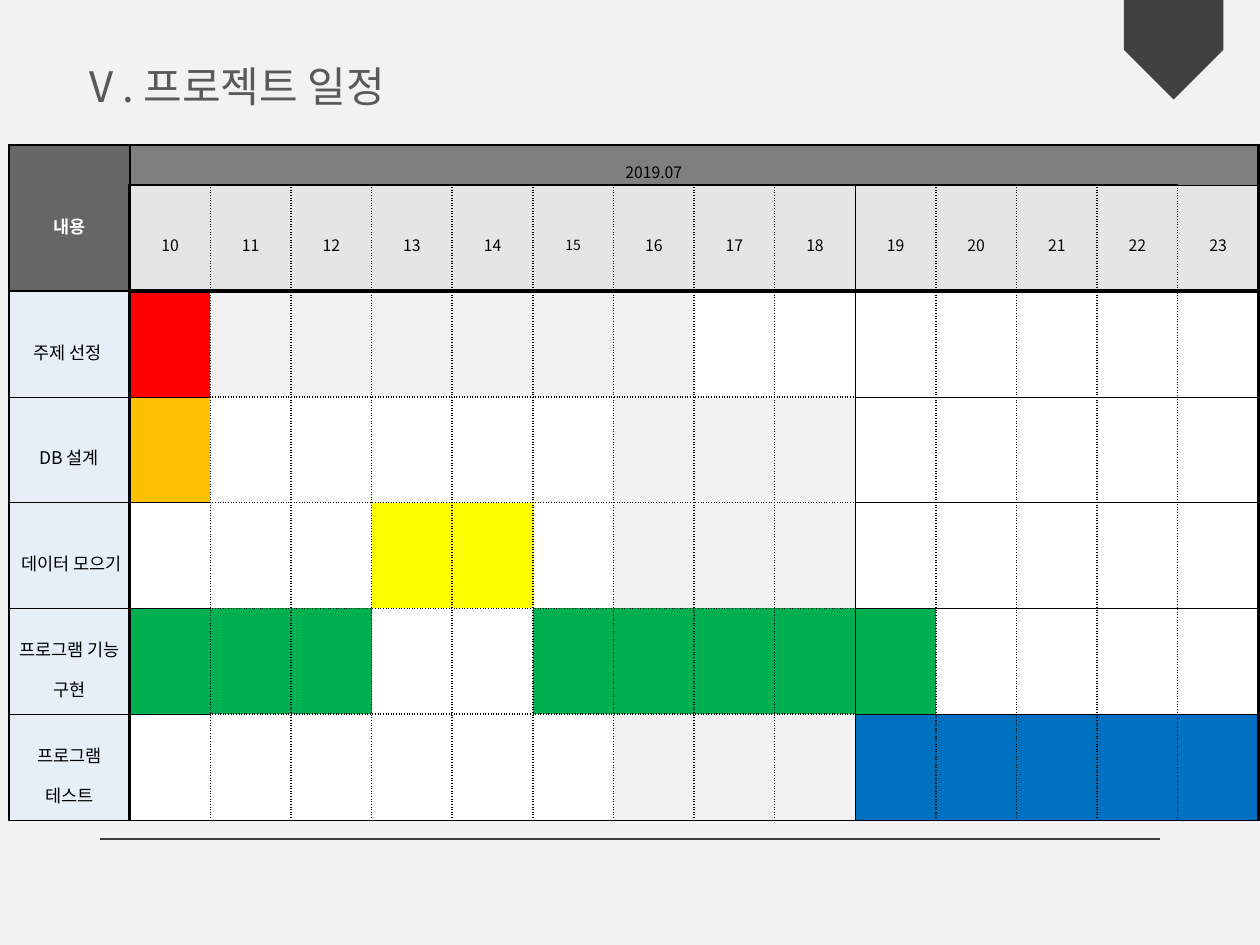
from dataclasses import dataclass
from lxml.etree import SubElement
from pptx import Presentation
from pptx.dml.color import RGBColor as RGB
from pptx.enum.shapes import MSO_CONNECTOR as CONN, MSO_SHAPE as SHAPE
from pptx.enum.text import MSO_ANCHOR as ANCHOR, MSO_AUTO_SIZE as AUTO, PP_ALIGN as ALIGN
from pptx.oxml.ns import qn
from pptx.util import Inches, Pt


@dataclass(frozen=True)
class Theme:
    font: str = "Noto Sans CJK KR"
    background: str = "F2F2F2"
    title: str = "595959"
    dark: str = "404040"
    corner: str = "666666"
    month: str = "7F7F7F"
    day: str = "E5E5E5"
    label: str = "E6EEF7"
    black: str = "000000"
    white: str = "FFFFFF"
    title_size: int = 24
    label_size: int = 10
    day_size: int = 9
    small_size: int = 8


THEME = Theme()
BARS = {"R": "FF0000", "O": "FFC000", "Y": "FFFF00", "G": "00B050", "B": "0070C0", "W": "FFFFFF"}
TASKS = [
    ("주제 선정 ", "R......WWWWWWW"),
    ("DB 설계", "OWWWWW...WWWWW"),
    (" 데이터 모으기", "WWWYYW...WWWWW"),
    ("프로그램 기능 구현", "GGGWWGGGGGWWWW"),
    ("프로그램 테스트", "WWWWWW...BBBBB"),
]
DAYS = range(10, 24)
HAIR, THIN, THICK, HEAVY = (0.28, "solid"), (1, "solid"), (1.7, "solid"), (2.25, "solid")
DOTTED, FINE_DOT = (1, "sysDot"), (0.85, "dot")


def apply(obj, fmt):
    for name, value in fmt.items():
        setattr(obj, name, value)


def vertical_edge(row, edge):
    if edge in (0, 15):
        return THICK
    if row == 0:
        return THIN if edge == 1 else None
    if edge == 14 and row <= 2:
        return DOTTED
    return {1: THICK, 10: THIN}.get(edge, DOTTED if edge < 10 else FINE_DOT)


def horizontal_edge(edge, col):
    if edge == 0 or (col == 0 and edge <= 2):
        return THICK
    if edge == 1:
        return THIN if col < 10 else HAIR
    if edge == 2:
        return HEAVY
    return DOTTED if edge < 7 and 2 <= col <= 9 else HAIR


class Deck:
    """Build styled elements on the current slide."""

    def __init__(self, theme):
        self.theme = theme
        self.prs = Presentation()
        apply(self.prs, {"slide_width": Inches(10), "slide_height": Inches(7.5)})
        self.s = self.prs.slides.add_slide(self.prs.slide_layouts[6])
        self.fill(self.s.background, theme.background)

    def fill(self, obj, color):
        if color is None:
            obj.fill.background()
        else:
            obj.fill.solid()
            obj.fill.fore_color.rgb = RGB.from_string(color)

    def run(self, p, text, size, color, bold=False):
        r = p.add_run()
        r.text = text
        apply(r.font, {"size": Pt(size), "bold": bold, "name": self.theme.font})
        r.font.color.rgb = RGB.from_string(color)
        SubElement(r._r.get_or_add_rPr(), qn("a:ea"), typeface=self.theme.font)

    def title(self, text, x, y, w, h):
        tf = self.s.shapes.add_textbox(*map(Inches, (x, y, w, h))).text_frame
        apply(tf, {"word_wrap": False, "auto_size": AUTO.SHAPE_TO_FIT_TEXT})
        self.run(tf.paragraphs[0], text, self.theme.title_size, self.theme.title)

    def ribbon(self, x, y, size):
        sp = self.s.shapes.add_shape(SHAPE.PENTAGON, *map(Inches, (x, y, size, size)))
        sp.rotation = 90
        sp.shadow.inherit = False
        self.fill(sp, self.theme.dark)
        sp.line.fill.background()

    def rule(self, x1, y1, x2, y2):
        ln = self.s.shapes.add_connector(CONN.STRAIGHT, *map(Inches, (x1, y1, x2, y2)))
        ln.line.color.rgb = RGB.from_string(self.theme.dark)
        ln.line.width = Pt(0.75)
        SubElement(ln._element.spPr, qn("a:effectLst"))

    def table(self, x, y, widths, heights):
        box = map(Inches, (x, y, sum(widths), sum(heights)))
        tbl = self.s.shapes.add_table(len(heights), len(widths), *box).table
        apply(tbl, {"first_row": False, "horz_banding": False})
        for col, w in zip(tbl.columns, widths):
            col.width = Inches(w)
        for row, h in zip(tbl.rows, heights):
            row.height = Inches(h)
        return tbl

    def borders(self, cell, edges):
        tcPr = cell._tc.get_or_add_tcPr()
        for i, (tag, style) in enumerate(zip(("lnL", "lnR", "lnT", "lnB"), edges)):
            ln = tcPr.makeelement(qn(f"a:{tag}"), {})
            tcPr.insert(i, ln)
            if style is None:
                SubElement(ln, qn("a:noFill"))
                continue
            width, dash = style
            ln.set("w", str(Pt(width)))
            SubElement(SubElement(ln, qn("a:solidFill")), qn("a:srgbClr"), val=self.theme.black)
            SubElement(ln, qn("a:prstDash"), val=dash)

    def cell(self, tbl, row, col, color, text="", size=THEME.day_size, ink=THEME.black, bold=False):
        cell = tbl.cell(row, col)
        apply(cell, {"vertical_anchor": ANCHOR.MIDDLE,
                     "margin_left": Inches(0.04), "margin_right": Inches(0.04),
                     "margin_top": Inches(0.01), "margin_bottom": Inches(0.01)})
        self.fill(cell, color)
        p = cell.text_frame.paragraphs[0]
        if text:
            apply(p, {"alignment": ALIGN.CENTER, "line_spacing": 1.6})
            self.run(p, text, size, ink, bold)
        else:
            SubElement(p._p, qn("a:endParaRPr"), sz=str(size * 100))
        bottom, right = row + cell.span_height, col + cell.span_width
        self.borders(cell, (vertical_edge(row, col), vertical_edge(row, right),
                            horizontal_edge(row, col), horizontal_edge(bottom, col)))


def add_schedule(deck):
    t = deck.theme
    tbl = deck.table(0.07, 1.15, [0.96] + [0.64] * 14, [0.32] + [0.84] * 6)
    tbl.cell(0, 0).merge(tbl.cell(1, 0))
    tbl.cell(0, 1).merge(tbl.cell(0, 13))
    deck.cell(tbl, 0, 0, t.corner, "내용", t.label_size, t.white, True)
    deck.cell(tbl, 0, 1, t.month, "2019.07")
    deck.cell(tbl, 0, 14, t.month)
    for col, day in enumerate(DAYS, 1):
        deck.cell(tbl, 1, col, t.day, str(day), t.small_size if day == 15 else t.day_size)
    for row, (name, bars) in enumerate(TASKS, 2):
        deck.cell(tbl, row, 0, t.label, name, t.label_size)
        for col, key in enumerate(bars, 1):
            deck.cell(tbl, row, col, BARS.get(key))


def main():
    deck = Deck(THEME)
    deck.title("Ⅴ. 프로젝트 일정", 0.54, 0.43, 2.89, 0.5)
    deck.ribbon(8.92, 0, 0.79)
    deck.rule(0.79, 6.66, 9.21, 6.66)
    add_schedule(deck)
    deck.prs.save("out.pptx")


if __name__ == "__main__":
    main()
